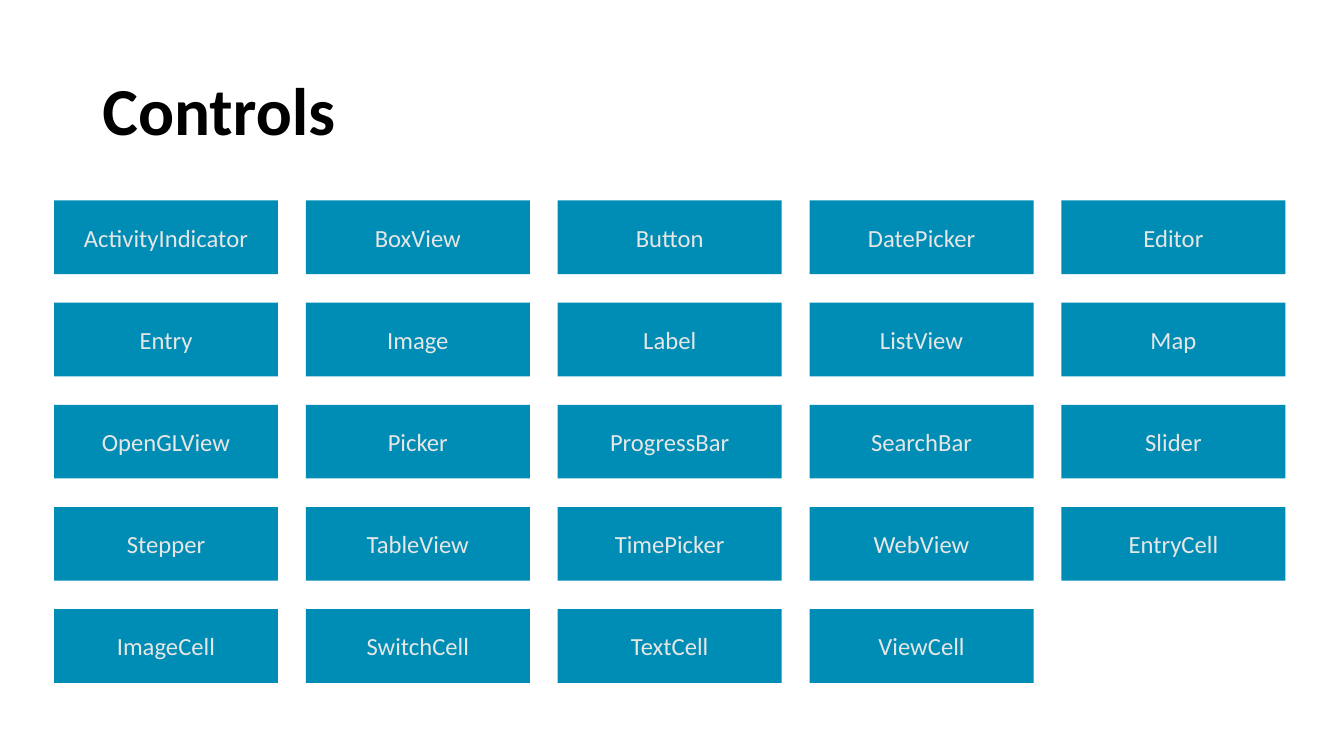
from pptx import Presentation
from pptx.dml.color import RGBColor
from pptx.enum.shapes import MSO_SHAPE
from pptx.enum.text import MSO_ANCHOR, MSO_AUTO_SIZE, PP_ALIGN
from pptx.util import Pt

FONT = "Calibri"
COLUMNS = 5
TILE_WIDTH, TILE_HEIGHT = 160, 52.6
CONTROLS = [
    "ActivityIndicator", "BoxView", "Button", "DatePicker", "Editor",
    "Entry", "Image", "Label", "ListView", "Map",
    "OpenGLView", "Picker", "ProgressBar", "SearchBar", "Slider",
    "Stepper", "TableView", "TimePicker", "WebView", "EntryCell",
    "ImageCell", "SwitchCell", "TextCell", "ViewCell",
]


def color(hex_string):
    return RGBColor.from_string(hex_string)


def format_text(paragraph, size, hex_string, alignment, bold=False):
    paragraph.alignment = alignment
    for run in paragraph.runs:
        run.font.name = FONT
        run.font.size = Pt(size)
        run.font.bold = bold
        run.font.color.rgb = color(hex_string)


def place_title(slide, text, left, top, width, height):
    title = slide.shapes.title
    title.left, title.top = Pt(left), Pt(top)
    title.width, title.height = Pt(width), Pt(height)
    frame = title.text_frame
    frame.text = text
    frame.word_wrap = True
    frame.auto_size = MSO_AUTO_SIZE.NONE
    frame.vertical_anchor = MSO_ANCHOR.MIDDLE
    paragraph = frame.paragraphs[0]
    paragraph.line_spacing = 0.9
    format_text(paragraph, 48, "000000", PP_ALIGN.LEFT, bold=True)


def add_tile(slide, text, left, top):
    tile = slide.shapes.add_shape(
        MSO_SHAPE.ROUNDED_RECTANGLE,
        Pt(left), Pt(top), Pt(TILE_WIDTH), Pt(TILE_HEIGHT))
    tile.adjustments[0] = 0
    tile.shadow.inherit = False
    tile.fill.solid()
    tile.fill.fore_color.rgb = color("008DB5")
    tile.line.fill.background()
    frame = tile.text_frame
    frame.text = text
    frame.word_wrap = True
    frame.vertical_anchor = MSO_ANCHOR.MIDDLE
    format_text(frame.paragraphs[0], 17.6, "E7E6E6", PP_ALIGN.CENTER)


def add_tile_grid(slide, names, left, top, width, height):
    """Spread the tiles evenly, row by row, so the outer ones touch the box."""
    rows = -(-len(names) // COLUMNS)
    column_step = (width - TILE_WIDTH) / (COLUMNS - 1)
    row_step = (height - TILE_HEIGHT) / (rows - 1)
    for index, name in enumerate(names):
        row, column = divmod(index, COLUMNS)
        add_tile(slide, name, left + column * column_step, top + row * row_step)


def main():
    presentation = Presentation()
    presentation.slide_width, presentation.slide_height = Pt(960), Pt(540)
    slide = presentation.slides.add_slide(presentation.slide_layouts[5])
    place_title(slide, "Controls", 66, 28.75, 828, 104.4)
    add_tile_grid(slide, CONTROLS, 38.6, 143.2, 879.6, 344.6)
    presentation.save("out.pptx")


if __name__ == "__main__":
    main()
